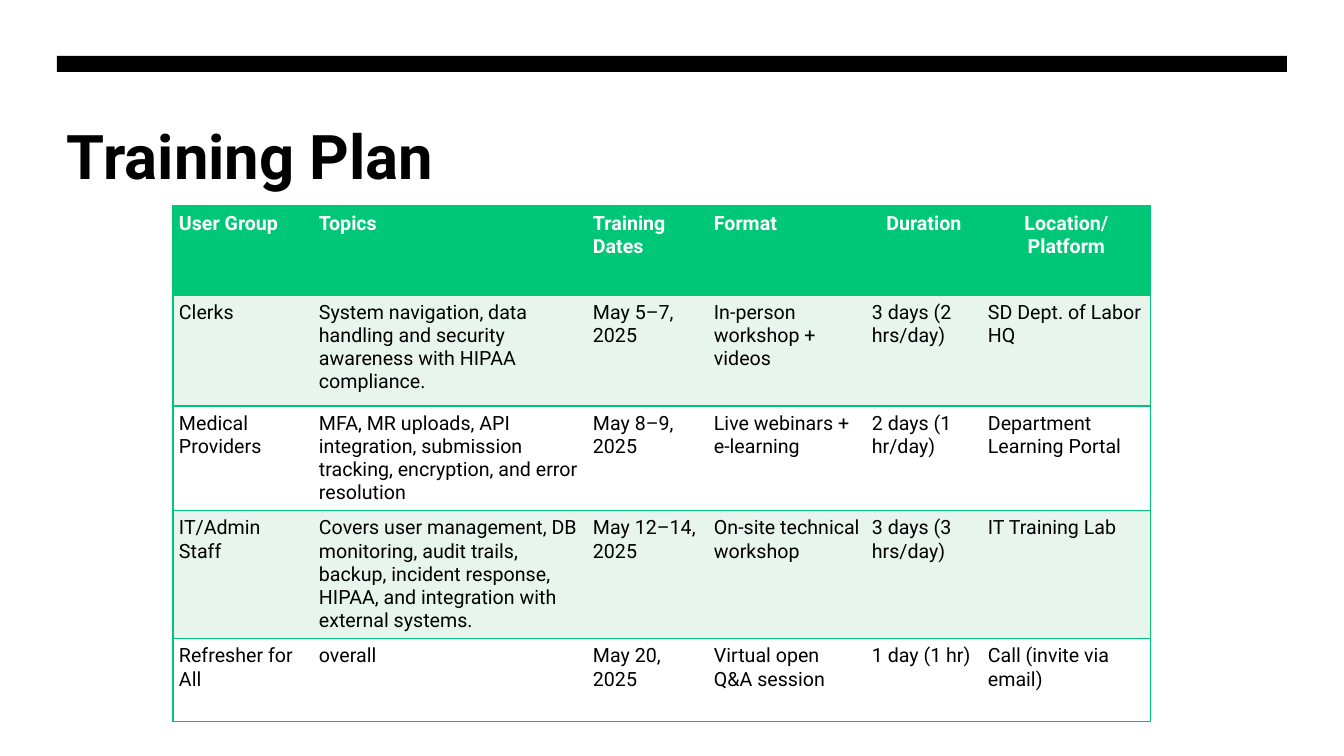
from lxml import etree
from pptx import Presentation
from pptx.dml.color import RGBColor
from pptx.enum.shapes import MSO_SHAPE
from pptx.enum.text import MSO_ANCHOR, PP_ALIGN
from pptx.oxml.ns import qn
from pptx.util import Pt

PX = 9144000 / 1008
FONT = "Roboto"
BLACK, WHITE, GREEN, MINT = "000000", "FFFFFF", "00C777", "E7F5EC"
NO_GRID_STYLE = "{2D5ABB26-0587-4C30-8999-92F81FD0307C}"


def px(*lengths):
    """Turn pixel lengths into a list of EMU."""
    return [round(length * PX) for length in lengths]


def add_run(paragraph, text, size, color, bold):
    run = paragraph.add_run()
    run.text = text
    run.font.name = FONT
    run.font.size = Pt(size)
    run.font.bold = bold
    run.font.color.rgb = RGBColor.from_string(color)


presentation = Presentation()
presentation.slide_width, presentation.slide_height = px(1344, 756)
slide = presentation.slides.add_slide(presentation.slide_layouts[5])

# Title
title = slide.shapes.title
title.left, title.top, title.width, title.height = px(57, 108, 1230, 161)
frame = title.text_frame
frame.vertical_anchor = MSO_ANCHOR.TOP
frame.margin_left, frame.margin_top = px(10, 10)
frame.word_wrap = True
frame.paragraphs[0].alignment = PP_ALIGN.LEFT
add_run(frame.paragraphs[0], "Training Plan", 44, BLACK, True)

# Bar across the top
bar = slide.shapes.add_shape(MSO_SHAPE.RECTANGLE, *px(57, 56, 1230, 16))
bar.shadow.inherit = False
bar.fill.solid()
bar.fill.fore_color.rgb = RGBColor.from_string(BLACK)
bar.line.fill.background()

# Training table
training = [
    ["User Group", "Topics", "Training Dates", "Format", "Duration", "Location/Platform"],
    ["Clerks",
     "System navigation, data handling and security awareness with HIPAA compliance.",
     "May 5–7, 2025", "In-person workshop + videos", "3 days (2 hrs/day)",
     "SD Dept. of Labor HQ"],
    ["Medical Providers",
     "MFA, MR uploads, API integration, submission tracking, encryption, and error resolution",
     "May 8–9, 2025", "Live webinars + e-learning", "2 days (1 hr/day)",
     "Department Learning Portal"],
    ["IT/Admin Staff",
     "Covers user management, DB monitoring, audit trails, backup, incident response, "
     "HIPAA, and integration with external systems.",
     "May 12–14, 2025", "On-site technical workshop", "3 days (3 hrs/day)",
     "IT Training Lab"],
    ["Refresher for All", "overall", "May 20, 2025", "Virtual open Q&A session",
     "1 day (1 hr)", "Call (invite via email)"],
]
column_widths = px(140, 274, 121, 158, 116, 169)
row_heights = px(89, 111, 91, 111, 83)
last_column = len(column_widths) - 1

table = slide.shapes.add_table(
    len(row_heights), len(column_widths), *px(173, 206),
    sum(column_widths), sum(row_heights)).table
table.horz_banding = False
table._tbl.tblPr.find(qn("a:tableStyleId")).text = NO_GRID_STYLE
for column, width in zip(table.columns, column_widths):
    column.width = width

for row_index, texts in enumerate(training):
    table.rows[row_index].height = row_heights[row_index]
    header = row_index == 0
    row_fill = GREEN if header else MINT if row_index % 2 else WHITE
    for column_index, text in enumerate(texts):
        cell = table.cell(row_index, column_index)
        cell.margin_left, cell.margin_right, cell.margin_top, cell.margin_bottom = px(6, 6, 6, 6)

        sides = ["lnT", "lnB"]
        if column_index == last_column:
            sides.insert(0, "lnR")
        if column_index == 0:
            sides.insert(0, "lnL")
        properties = cell._tc.get_or_add_tcPr()
        for side in sides:
            border = etree.SubElement(properties, qn(f"a:{side}"), w=str(Pt(1)))
            border_fill = etree.SubElement(border, qn("a:solidFill"))
            etree.SubElement(border_fill, qn("a:srgbClr"), val=GREEN)
        cell.fill.solid()
        cell.fill.fore_color.rgb = RGBColor.from_string(row_fill)

        paragraph = cell.text_frame.paragraphs[0]
        paragraph.space_after = Pt(5)
        if header and column_index >= 4:
            paragraph.alignment = PP_ALIGN.CENTER
        add_run(paragraph, text, 14, WHITE if header else BLACK, header)

presentation.save("out.pptx")
